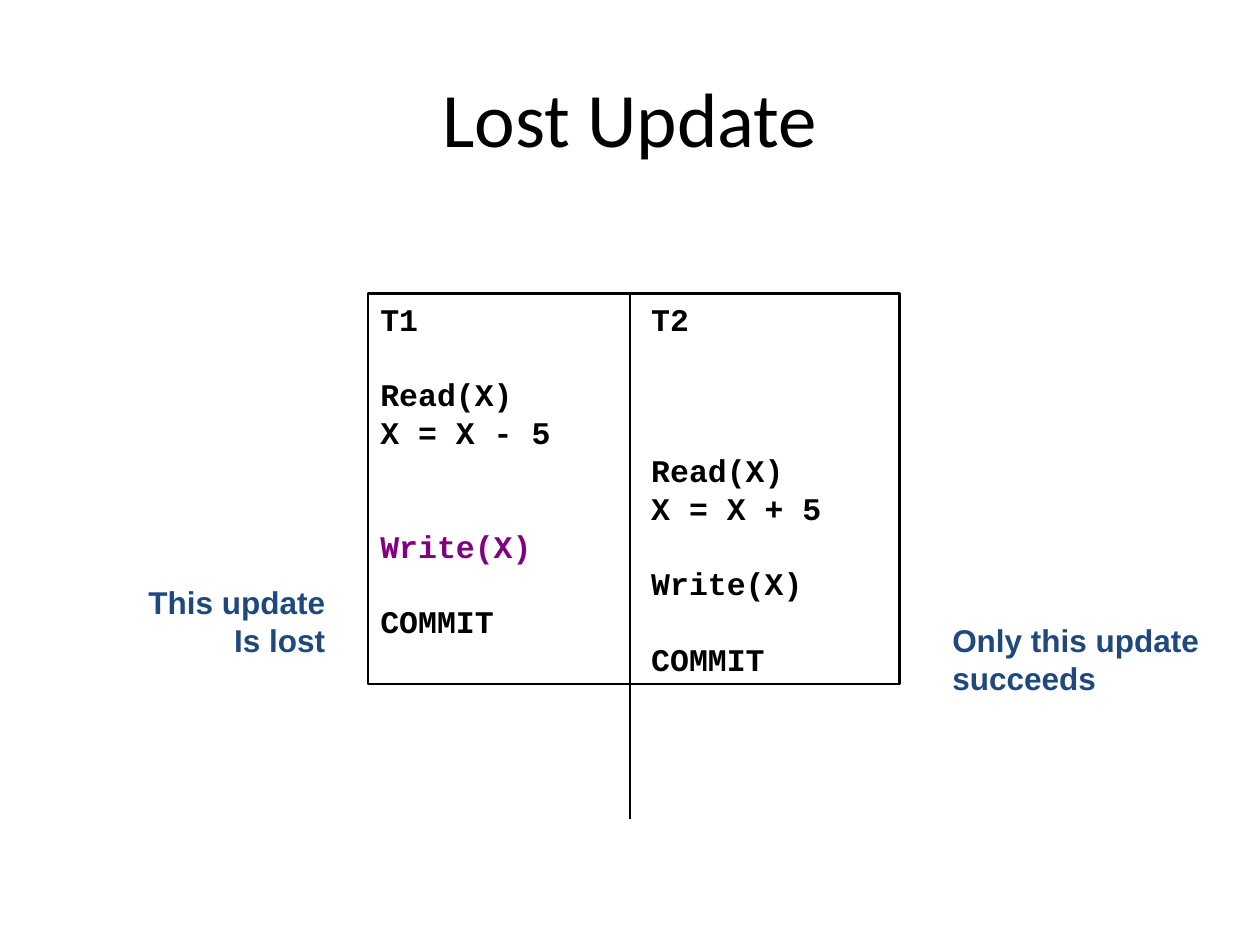
from lxml import etree
from pptx import Presentation
from pptx.dml.color import RGBColor
from pptx.enum import shapes, text
from pptx.oxml import ns
from pptx.util import Pt

COLORS = {"ink": "000000", "lost": "800080", "note": "1F497D"}
LINE_PITCH = Pt(21.6)
TITLE = {"name": "Calibri", "size": Pt(44), "bold": False}
CODE = {"name": "Courier New", "size": Pt(18), "bold": True}
NOTE = {"name": "Arial", "size": Pt(18), "bold": True}
T2 = "\t\t "  # moves a step into the second transaction's column

SCHEDULE = [
    f"T1{T2}T2",
    "Read(X)",
    "X = X - 5",
    f"{T2}Read(X)",
    f"{T2}X = X + 5",
    "Write(X)",
    f"{T2}Write(X)",
    "COMMIT",
    f"{T2}COMMIT",
]


def rgb(color):
    return RGBColor.from_string(COLORS[color])


def style_line(line):
    line.color.rgb = rgb("ink")
    line.width = Pt(1.5)


def set_tab_stops(paragraph):
    """Put the two left tab stops one inch apart."""
    stops = etree.SubElement(paragraph._p.get_or_add_pPr(), ns.qn("a:tabLst"))
    for inch in (1, 2):
        etree.SubElement(stops, ns.qn("a:tab"), pos=str(Pt(72 * inch)), algn="l")


def write_lines(frame, lines, font, color, align=text.PP_ALIGN.LEFT, pitch=LINE_PITCH):
    for index, line in enumerate(lines):
        paragraph = frame.paragraphs[0] if index == 0 else frame.add_paragraph()
        paragraph.alignment = align
        paragraph.line_spacing = pitch
        run = paragraph.add_run()
        run.text = line
        for key, value in font.items():
            setattr(run.font, key, value)
        run.font.color.rgb = rgb(color)


def add_text(slide, box, lines, font, color, align, wrap=False,
             anchor=text.MSO_ANCHOR.TOP, pitch=LINE_PITCH):
    frame = slide.shapes.add_textbox(*map(Pt, box)).text_frame
    frame.word_wrap = wrap
    frame.vertical_anchor = anchor
    write_lines(frame, lines, font, color, align, pitch)


def add_schedule(slide):
    """Draw the framed list of steps, with T1 on the left and T2 on the right."""
    schedule = slide.shapes.add_shape(
        shapes.MSO_SHAPE.RECTANGLE, Pt(210.24), Pt(167.76), Pt(303.84), Pt(223.2))
    schedule.shadow.inherit = False
    schedule.fill.background()
    style_line(schedule.line)
    frame = schedule.text_frame
    frame.word_wrap = True
    frame.vertical_anchor = text.MSO_ANCHOR.TOP
    write_lines(frame, SCHEDULE, CODE, "ink")
    for paragraph in frame.paragraphs:
        if paragraph.text == "Read(X)":
            paragraph.space_before = LINE_PITCH
        if paragraph.text == "Write(X)":
            paragraph.runs[0].font.color.rgb = rgb("lost")
        set_tab_stops(paragraph)


def add_divider(slide):
    divider = slide.shapes.add_connector(
        shapes.MSO_CONNECTOR.STRAIGHT, Pt(360), Pt(167.76), Pt(360), Pt(468))
    style_line(divider.line)
    etree.SubElement(divider._element.spPr, ns.qn("a:effectLst"))


def main():
    deck = Presentation()
    deck.slide_width, deck.slide_height = Pt(720), Pt(540)
    slide = deck.slides.add_slide(deck.slide_layouts[6])
    add_text(slide, (36, 21.6, 648, 90), ["Lost Update"], TITLE, "ink",
             text.PP_ALIGN.CENTER, wrap=True, anchor=text.MSO_ANCHOR.MIDDLE, pitch=None)
    add_schedule(slide)
    add_divider(slide)
    add_text(slide, (77.76, 329.76, 115.2, 50.4), ["This update", "Is lost"],
             NOTE, "note", text.PP_ALIGN.RIGHT)
    add_text(slide, (537.12, 351.36, 155.52, 50.4), ["Only this update", "succeeds"],
             NOTE, "note", text.PP_ALIGN.LEFT)
    deck.save("out.pptx")


if __name__ == "__main__":
    main()
